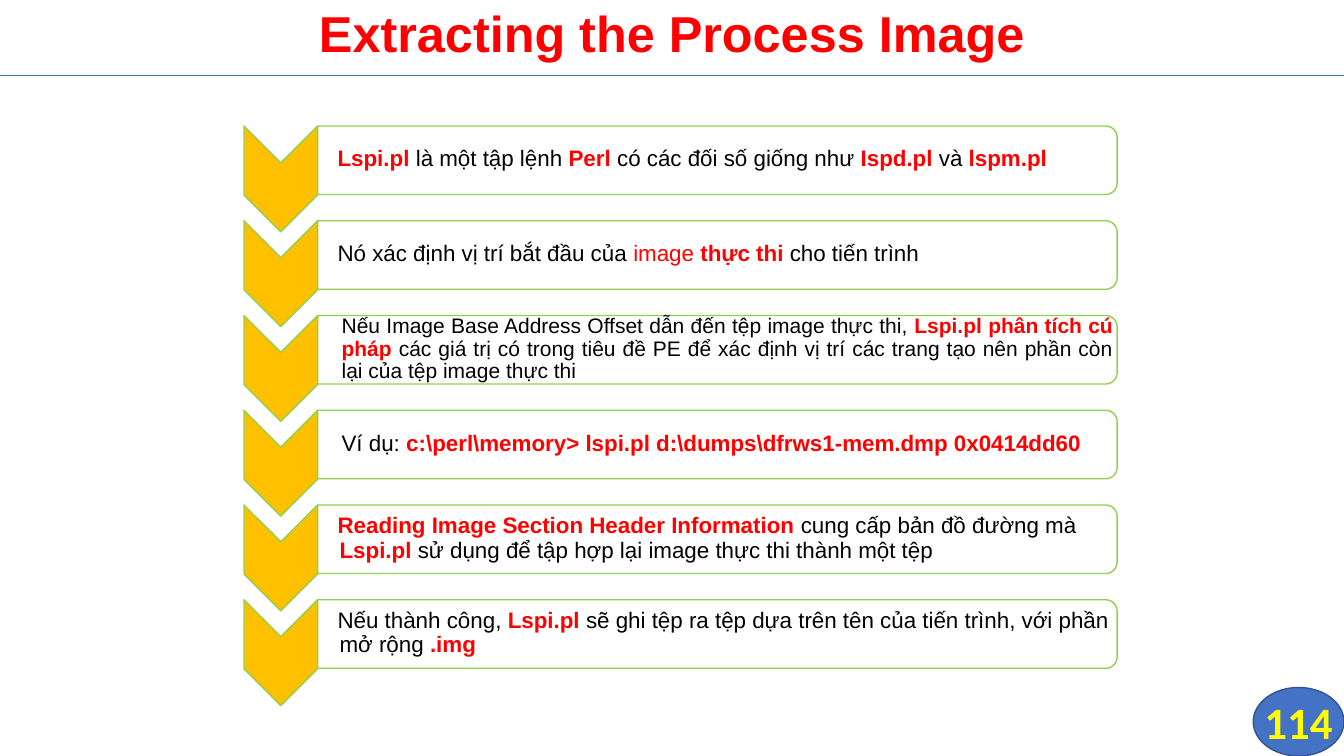
import pptx
import pptx.util
import pptx.dml.color
import pptx.enum.shapes
import pptx.enum.text
import pptx.oxml.ns
from lxml import etree

Inches = pptx.util.Inches
Pt = pptx.util.Pt
RGBColor = pptx.dml.color.RGBColor
Shape = pptx.enum.shapes.MSO_SHAPE
Align = pptx.enum.text.PP_ALIGN
qn = pptx.oxml.ns.qn

RED = RGBColor(0xFF, 0x00, 0x00)
BLACK = RGBColor(0x00, 0x00, 0x00)
WHITE = RGBColor(0xFF, 0xFF, 0xFF)
YELLOW = RGBColor(0xFF, 0xFF, 0x00)
AMBER = RGBColor(0xFF, 0xC0, 0x00)
GREEN = RGBColor(0x92, 0xD0, 0x50)
BLUE = RGBColor(0x44, 0x72, 0xC4)
NAVY = RGBColor(0x32, 0x54, 0x91)

# Run styles: colour and boldness
PLAIN = (BLACK, False)
TINTED = (RED, False)
KEY = (RED, True)

SLIDE_WIDTH, SLIDE_HEIGHT = 13.33, 7.5
FIRST_TOP, ROW_PITCH = 1.25, 0.94
BAR_LEFT, BAR_WIDTH, BAR_HEIGHT = 3.15, 7.93, 0.68
CHEVRON_LEFT, CHEVRON_WIDTH, CHEVRON_HEIGHT = 2.42, 0.73, 1.05

HANGING = {"margin": 0.12, "indent": -0.02}
BLOCK = {"margin": 0.14, "indent": 0}

STEPS = [
    ([("Lspi.pl ", KEY), ("là một tập lệnh ", PLAIN), ("Perl ", KEY),
      ("có các đối số giống như ", PLAIN), ("Ispd.pl ", KEY), ("và", PLAIN),
      (" lspm.pl", KEY)], HANGING),
    ([("Nó xác định vị trí bắt đầu của ", PLAIN), ("image ", TINTED),
      ("thực thi ", KEY), ("cho tiến trình", PLAIN)], HANGING),
    ([("Nếu Image Base Address Offset dẫn đến tệp image thực thi,", PLAIN),
      (" Lspi.pl phân tích cú pháp ", KEY),
      ("các giá trị có trong tiêu đề PE để xác định vị trí các trang tạo nên "
       "phần còn lại của tệp image thực thi", PLAIN)],
     {**BLOCK, "size": 15, "align": Align.JUSTIFY}),
    ([("Ví dụ: ", PLAIN),
      (r"c:\perl\memory> lspi.pl d:\dumps\dfrws1-mem.dmp 0x0414dd60", KEY)],
     BLOCK),
    ([("Reading Image Section Header Information ", KEY),
      ("cung cấp bản đồ đường mà", PLAIN), (" Lspi.pl ", KEY),
      ("sử dụng để tập hợp lại image thực thi thành một tệp", PLAIN)],
     HANGING),
    ([("Nếu thành công,", PLAIN), (" Lspi.pl ", KEY),
      ("sẽ ghi tệp ra tệp dựa trên tên của tiến trình, với phần mở rộng ",
       PLAIN), (".img", KEY)], HANGING),
]


class SlideBuilder:
    def __init__(self, slide, font="Arial"):
        self.shapes = slide.shapes
        self.font = font

    def shape(self, kind, left, top, width, height, fill, line):
        shape = self.shapes.add_shape(
            kind, Inches(left), Inches(top), Inches(width), Inches(height))
        shape.shadow.inherit = False
        shape.fill.solid()
        shape.fill.fore_color.rgb = fill
        shape.line.color.rgb = line
        shape.line.width = Pt(1)
        return shape

    def turned_shape(self, kind, left, top, width, height, fill, line):
        """Add a shape turned a quarter clockwise that covers the given area."""
        shift = (width - height) / 2
        shape = self.shape(kind, left + shift, top - shift, height, width,
                           fill, line)
        shape.rotation = 90
        return shape

    def rule(self, top):
        line = self.shapes.add_connector(
            pptx.enum.shapes.MSO_CONNECTOR.STRAIGHT,
            0, Inches(top), Inches(SLIDE_WIDTH), Inches(top))
        line.line.color.rgb = BLUE
        line.line.width = Pt(0.5)
        etree.SubElement(line._element.spPr, qn("a:effectLst"))

    def format_run(self, run, style, size, font=None):
        run.font.name = font or self.font
        run.font.size = Pt(size)
        run.font.color.rgb, run.font.bold = style

    def text(self, left, top, width, height, runs, size=16, align=Align.LEFT,
             margin=0, indent=0, insets=(0.1, 0.01, 0.01, 0.01)):
        box = self.shapes.add_textbox(
            Inches(left), Inches(top), Inches(width), Inches(height))
        frame = box.text_frame
        frame.word_wrap = True
        frame.vertical_anchor = pptx.enum.text.MSO_ANCHOR.MIDDLE
        (frame.margin_left, frame.margin_top, frame.margin_right,
         frame.margin_bottom) = [Inches(inset) for inset in insets]
        paragraph = frame.paragraphs[0]
        paragraph.alignment = align
        paragraph.line_spacing = 0.9
        properties = paragraph._p.get_or_add_pPr()
        properties.set("marL", str(Inches(margin)))
        properties.set("indent", str(Inches(indent)))
        for words, style in runs:
            run = paragraph.add_run()
            run.text = words
            self.format_run(run, style, size)

    def page_badge(self, number):
        badge = self.shape(Shape.FLOWCHART_CONNECTOR, 12.43, 6.82, 0.9, 0.68,
                           BLUE, NAVY)
        frame = badge.text_frame
        frame.text = number
        frame.word_wrap = False
        frame.vertical_anchor = pptx.enum.text.MSO_ANCHOR.MIDDLE
        frame.margin_left = frame.margin_right = 0
        frame.margin_top = frame.margin_bottom = 0
        paragraph = frame.paragraphs[0]
        paragraph.alignment = Align.CENTER
        self.format_run(paragraph.runs[0], (YELLOW, True), 32, "Calibri")

    def step(self, top, runs, layout):
        """Add one row: chevron, rounded bar and its text."""
        self.turned_shape(Shape.CHEVRON, CHEVRON_LEFT, top,
                          CHEVRON_WIDTH, CHEVRON_HEIGHT, AMBER, GREEN)
        bar = self.turned_shape(Shape.ROUND_2_SAME_RECTANGLE, BAR_LEFT, top,
                                BAR_WIDTH, BAR_HEIGHT, WHITE, GREEN)
        colour = bar._element.spPr.find(qn("a:solidFill"))[0]
        etree.SubElement(colour, qn("a:alpha"), val="90000")
        self.text(BAR_LEFT, top + 0.03, 7.9, 0.61, runs, **layout)


def main():
    presentation = pptx.Presentation()
    presentation.slide_width = Inches(SLIDE_WIDTH)
    presentation.slide_height = Inches(SLIDE_HEIGHT)
    slide = presentation.slides.add_slide(presentation.slide_layouts[6])
    builder = SlideBuilder(slide)

    builder.page_badge("114")
    builder.rule(0.75)
    builder.text(0, -0.03, SLIDE_WIDTH, 0.78,
                 [("Extracting the Process Image", KEY)], size=36,
                 align=Align.CENTER, insets=(0.1, 0.05, 0.1, 0.05))
    for row, (runs, layout) in enumerate(STEPS):
        builder.step(FIRST_TOP + row * ROW_PITCH, runs, layout)

    presentation.save("out.pptx")


if __name__ == "__main__":
    main()
